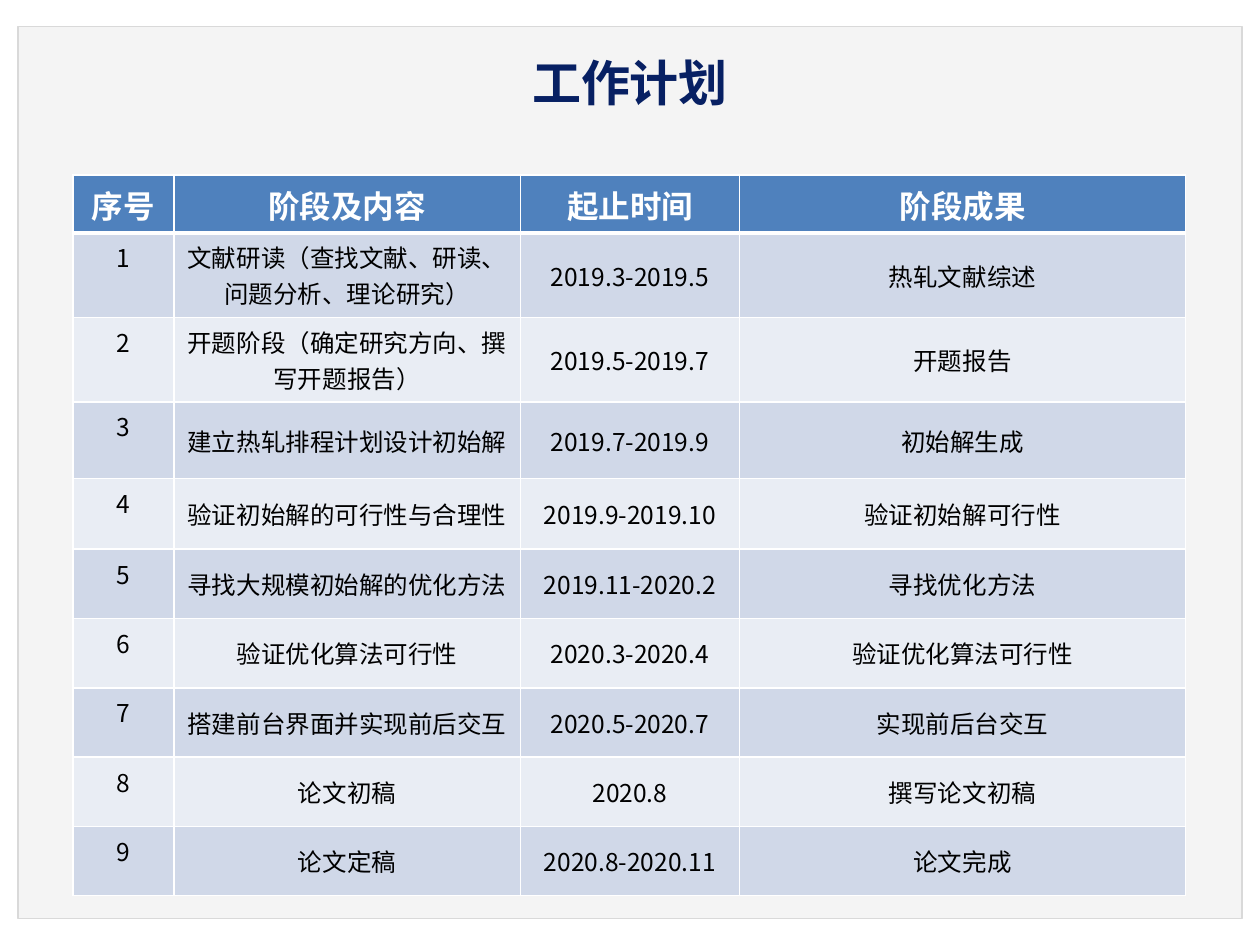
from dataclasses import dataclass

from lxml.etree import SubElement
from pptx import Presentation
from pptx.dml.color import RGBColor as Color
from pptx.enum.shapes import MSO_SHAPE as Shape
from pptx.enum.text import MSO_ANCHOR as Anchor, PP_ALIGN as Align
from pptx.oxml.ns import qn
from pptx.util import Inches, Pt


@dataclass(frozen=True)
class Theme:
    """Colours, fonts and type sizes of the slide."""
    panel: str = "F4F4F4"
    panel_line: str = "D9D9D9"
    title: str = "072063"
    header: str = "4F81BD"
    bands: tuple = ("D0D8E8", "E9EDF4")
    white: str = "FFFFFF"
    black: str = "000000"
    latin: str = "Arial"
    chinese: str = "Noto Sans CJK SC"
    title_size: int = 28
    header_size: int = 18
    body_size: int = 14


THEME = Theme()
COLUMN_WIDTHS = (0.8, 2.75, 1.74, 3.54)
ROW_HEIGHTS = (0.46, 0.67, 0.67, 0.61, 0.56) + (0.55,) * 5
HEADINGS = ("序号", "阶段及内容", "起止时间", "阶段成果")
STAGES = (
    ("文献研读（查找文献、研读、问题分析、理论研究）", "2019.3-2019.5", "热轧文献综述"),
    ("开题阶段（确定研究方向、撰写开题报告）", "2019.5-2019.7", "开题报告"),
    ("建立热轧排程计划设计初始解", "2019.7-2019.9", "初始解生成"),
    ("验证初始解的可行性与合理性", "2019.9-2019.10", "验证初始解可行性"),
    ("寻找大规模初始解的优化方法", "2019.11-2020.2", "寻找优化方法"),
    ("验证优化算法可行性", "2020.3-2020.4", "验证优化算法可行性"),
    ("搭建前台界面并实现前后交互", "2020.5-2020.7", "实现前后台交互"),
    ("论文初稿", "2020.8", "撰写论文初稿"),
    ("论文定稿", "2020.8-2020.11", "论文完成"),
)


def write_text(frame, text, *, size, color, bold=False, latin=THEME.chinese):
    """Write one centred, formatted paragraph into a text frame."""
    para = frame.paragraphs[0]
    para.alignment = Align.CENTER
    span = para.add_run()
    span.text = text
    span.font.size = Pt(size)
    span.font.bold = bold
    span.font.color.rgb = Color.from_string(color)
    span.font.name = latin
    properties = span._r.get_or_add_rPr()
    SubElement(properties, qn("a:ea"), typeface=THEME.chinese)


def add_panel(page):
    """Add the grey panel behind the content."""
    panel = page.shapes.add_shape(
        Shape.RECTANGLE, Inches(0.14), Inches(0.21), Inches(9.72), Inches(7.08))
    panel.shadow.inherit = False
    panel.fill.solid()
    panel.fill.fore_color.rgb = Color.from_string(THEME.panel)
    panel.line.color.rgb = Color.from_string(THEME.panel_line)
    panel.line.width = Pt(1)


def add_title(page, text):
    """Add the slide title."""
    box = page.shapes.add_textbox(Inches(0.5), Inches(0.34), Inches(9), Inches(0.62))
    box.text_frame.word_wrap = True
    box.text_frame.vertical_anchor = Anchor.MIDDLE
    write_text(box.text_frame, text, size=THEME.title_size, color=THEME.title,
               bold=True, latin=THEME.latin)


def set_borders(cell, **widths):
    """Give a cell white borders, one point wide unless a side says otherwise."""
    properties = cell._tc.get_or_add_tcPr()
    for side in "LRTB":
        line = SubElement(properties, qn(f"a:ln{side}"), w=str(Pt(widths.get(side, 1))))
        fill = SubElement(line, qn("a:solidFill"))
        SubElement(fill, qn("a:srgbClr"), val=THEME.white)


def fill_cell(cell, color):
    """Fill a cell with one colour."""
    cell.fill.solid()
    cell.fill.fore_color.rgb = Color.from_string(color)


def center_cell(cell):
    """Centre a cell's text vertically with tight margins."""
    cell.vertical_anchor = Anchor.MIDDLE
    cell.margin_left = cell.margin_right = Inches(0.07)
    cell.margin_top = cell.margin_bottom = 0


def add_header_cell(cell, text):
    """Format one heading cell."""
    set_borders(cell, B=3)
    fill_cell(cell, THEME.header)
    write_text(cell.text_frame, text, size=THEME.header_size,
               color=THEME.white, bold=True)


def add_body_cell(cell, text, row, column):
    """Format one banded body cell."""
    set_borders(cell, T=3 if row == 1 else 1)
    fill_cell(cell, THEME.bands[(row - 1) % 2])
    if column > 1 or (column == 1 and row > 2):
        center_cell(cell)
    write_text(cell.text_frame, text, size=THEME.body_size, color=THEME.black)


def add_plan_table(page):
    """Add the table of stages, dates and results."""
    table = page.shapes.add_table(
        len(ROW_HEIGHTS), len(COLUMN_WIDTHS), Inches(0.58), Inches(1.39),
        Inches(sum(COLUMN_WIDTHS)), Inches(sum(ROW_HEIGHTS))).table
    for column, width in zip(table.columns, COLUMN_WIDTHS):
        column.width = Inches(width)
    for row, height in zip(table.rows, ROW_HEIGHTS):
        row.height = Inches(height)
    for column, heading in enumerate(HEADINGS):
        add_header_cell(table.cell(0, column), heading)
    for row, stage in enumerate(STAGES, start=1):
        for column, text in enumerate((str(row), *stage)):
            add_body_cell(table.cell(row, column), text, row, column)


def main():
    """Build and save the work plan slide."""
    deck = Presentation()
    deck.slide_width, deck.slide_height = Inches(10), Inches(7.5)
    page = deck.slides.add_slide(deck.slide_layouts[6])
    add_panel(page)
    add_title(page, "工作计划")
    add_plan_table(page)
    deck.save("out.pptx")


if __name__ == "__main__":
    main()
